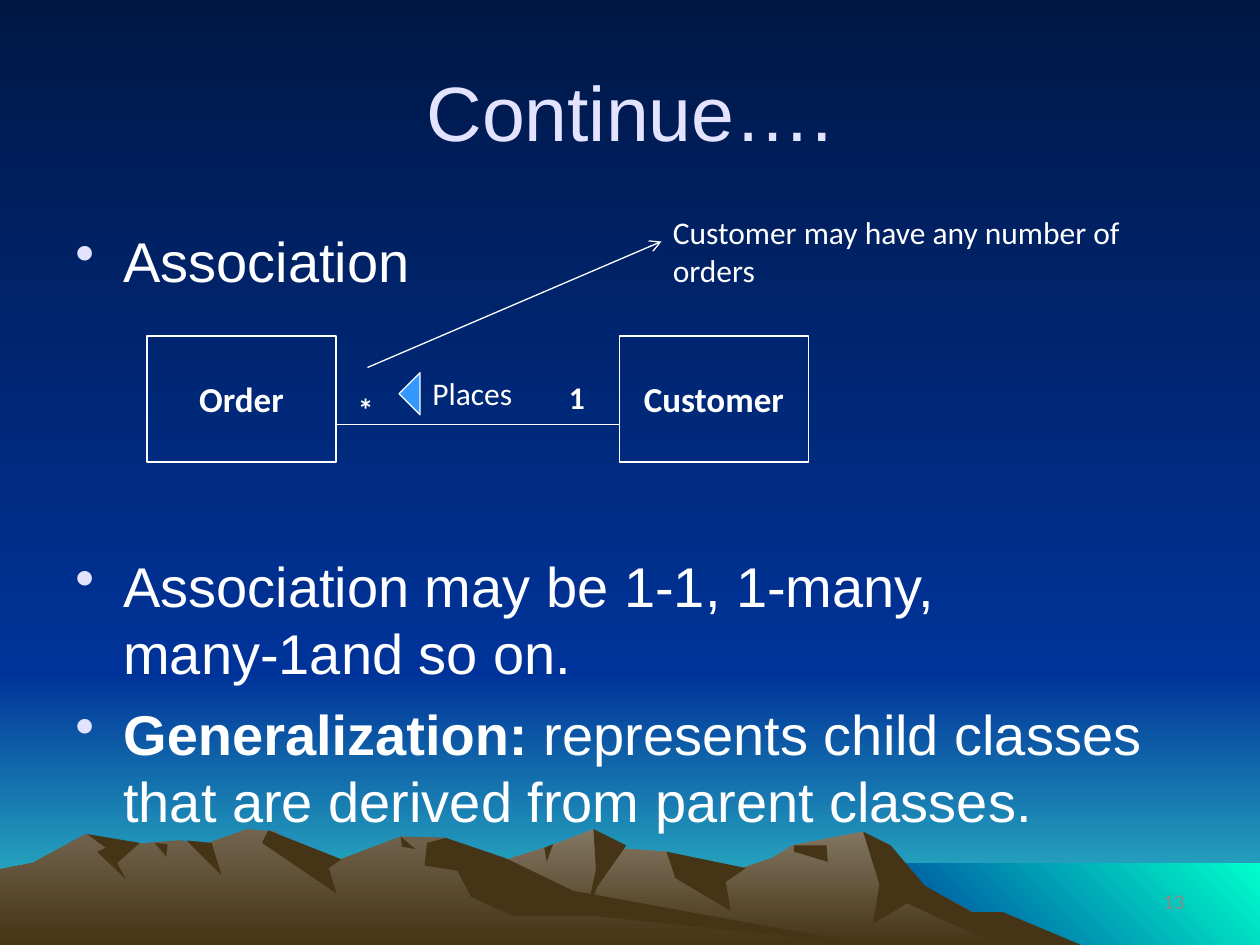
"""Build the class association slide: a mountain backdrop, bullets and a small class diagram."""
from lxml.etree import SubElement
from pptx import Presentation
from pptx.dml.color import RGBColor
from pptx.enum.shapes import MSO_CONNECTOR as Connector, MSO_SHAPE as Shape
from pptx.enum.text import MSO_ANCHOR as Anchor, PP_ALIGN as Align
from pptx.oxml.ns import qn
from pptx.util import Emu, Inches, Pt

COLUMNS = 120
SLIDE_WIDTH, SLIDE_HEIGHT = Inches(10), Inches(7.5)
CELL = SLIDE_WIDTH // COLUMNS
HUNDREDTH = Inches(0.01)

THEME = {
    "heading_font": "Arial", "label_font": "Calibri",
    "title_size": 44, "body_size": 32, "class_size": 20, "label_size": 18, "number_size": 12,
    "title": "E3E3FF", "text": "FFFFFF", "number": "898989", "marker": "3399FF",
    "sky": ("001746", "003399", 90), "haze": ("003399", "33CCCC", 90),
    "lake": ("00FFCC", "003399", 135), "far_slope": ("837763", "463416", 90),
    "near_slope": ("72644E", "463416", 90), "ridge": "463416", "line_width": 0.75,
}

BANDS = [("haze", (0, 64, 120, 26)), ("sky", (0, 0, 120, 64)), ("lake", (82, 82.2, 38, 7.8))]

MOUNTAINS = [
    ("far_slope", [
        (258, 750), (327, 709), (394, 685), (438, 671), (471, 658), (486, 673), (529, 676),
        (566, 697), (613, 681), (629, 671), (685, 660), (723, 698), (820, 750)]),
    ("ridge", [
        (685, 660), (707, 671), (734, 703), (771, 724), (796, 724), (858, 750), (792, 750),
        (720, 717), (693, 733), (698, 702)]),
    ("ridge", [(471, 658), (497, 671), (474, 704), (465, 727), (473, 690)]),
    ("ridge", [(529, 676), (592, 689), (576, 700), (580, 723), (536, 697)]),
    ("ridge", [(630, 671), (656, 671), (657, 684), (630, 676)]),
    ("ridge", [(432, 673), (439, 670), (434, 684)]),
    ("near_slope", [
        (0, 750), (0, 690), (26, 685), (68, 662), (94, 671), (143, 667), (160, 671), (196, 658),
        (219, 660), (236, 681), (271, 682), (318, 664), (354, 665), (432, 712), (690, 750)]),
    ("ridge", [(213, 659), (271, 682), (261, 689), (267, 709), (208, 669)]),
    ("ridge", [
        (339, 669), (354, 665), (401, 681), (455, 707), (690, 750), (472, 727), (407, 727),
        (374, 712), (363, 691), (337, 687)]),
    ("ridge", [(318, 664), (330, 674), (319, 672)]),
    ("ridge", [(148, 667), (168, 669), (176, 695)]),
    ("ridge", [(123, 669), (133, 670), (132, 680)]),
    ("ridge", [(69, 662), (111, 669), (93, 685), (100, 698), (77, 676), (84, 673)]),
]

BULLETS = [
    (0, [("Association", False)]),
    (147, [("Association may be 1-1, 1-many, many-1and so on.", False)]),
    (8, [("Generalization: ", True),
         ("represents child classes that are derived from parent classes.", False)]),
]

CLASSES = [("Order", (14, 32, 18, 12)), ("Customer", (59, 32, 18, 12))]
LINKS = [((35, 35), (63, 23), True), ((32, 40.4), (59, 40.4), False)]
MARKER = (37, 36.5, 4, 2)

TITLE_STYLE = ("heading_font", "title_size", "title", False, Align.CENTER, Anchor.MIDDLE)
NUMBER_STYLE = ("label_font", "number_size", "number", False, Align.RIGHT, Anchor.MIDDLE)
CLASS_STYLE = ("label_font", "class_size", "text", True, Align.CENTER, Anchor.MIDDLE)
NOTE_STYLE = ("label_font", "label_size", "text", False, Align.LEFT, Anchor.TOP)
COUNT_STYLE = ("label_font", "label_size", "text", True, Align.LEFT, Anchor.TOP)

LABELS = [
    ("Continue….", (6, 3, 108, 15), TITLE_STYLE),
    ("13", (86, 83.4, 28, 4.8), NUMBER_STYLE),
    ("Customer may have any number of\norders", (62.9, 19.7, 45.8, 8.4), NOTE_STYLE),
    ("Places", (40, 35, 13, 4.8), NOTE_STYLE),
    ("1", (53, 35.4, 4, 4.8), COUNT_STYLE),
    ("*", (32.9, 36.6, 4, 4.8), COUNT_STYLE),
]


def grid(cells):
    return [Emu(round(value * CELL)) for value in cells]


def color(name):
    return RGBColor.from_string(THEME[name])


def paint(fill, name):
    style = THEME[name]
    if isinstance(style, str):
        fill.solid()
        fill.fore_color.rgb = color(name)
        return
    *stops, angle = style
    fill.gradient()
    fill.gradient_angle = 360 - angle
    for stop, value in zip(fill.gradient_stops, stops):
        stop.color.rgb = RGBColor.from_string(value)


def style_line(line):
    line.color.rgb = color("text")
    line.width = Pt(THEME["line_width"])


def style_font(font, family, size, name, bold):
    font.name, font.size, font.bold = THEME[family], Pt(THEME[size]), bold
    font.color.rgb = color(name)


def write(shape, text, family, size, name, bold, align, anchor):
    frame = shape.text_frame
    frame.word_wrap, frame.vertical_anchor = True, anchor
    frame.text = text
    for paragraph in frame.paragraphs:
        paragraph.alignment = align
        style_font(paragraph.runs[0].font, family, size, name, bold)


def add_backdrop(slide):
    paint(slide.background.fill, "sky")
    parts = [(name, slide.shapes.add_shape(Shape.RECTANGLE, *grid(cells))) for name, cells in BANDS]
    for name, points in MOUNTAINS:
        builder = slide.shapes.build_freeform(*points[0], scale=HUNDREDTH)
        builder.add_line_segments(points[1:])
        parts.append((name, builder.convert_to_shape()))
    for name, shape in parts:
        paint(shape.fill, name)
        shape.line.fill.background()
        shape.shadow.inherit = False


def add_bullets(slide):
    frame = slide.shapes.add_textbox(*grid((6, 21, 108, 59))).text_frame
    frame.word_wrap = True
    for index, (space, runs) in enumerate(BULLETS):
        paragraph = frame.add_paragraph() if index else frame.paragraphs[0]
        paragraph.space_before = Pt(space)
        properties = paragraph._p.get_or_add_pPr()
        properties.set("marL", str(Inches(0.38)))
        properties.set("indent", str(-Inches(0.38)))
        bullet_color = SubElement(properties, qn("a:buClr"))
        SubElement(bullet_color, qn("a:srgbClr"), val=THEME["title"])
        SubElement(properties, qn("a:buChar"), char="•")
        for text, bold in runs:
            run = paragraph.add_run()
            run.text = text
            style_font(run.font, "heading_font", "body_size", "text", bold)


def add_diagram(slide):
    for text, cells in CLASSES:
        box = slide.shapes.add_shape(Shape.RECTANGLE, *grid(cells))
        box.fill.background()
        box.shadow.inherit = False
        style_line(box.line)
        write(box, text, *CLASS_STYLE)
    for start, end, arrow in LINKS:
        link = slide.shapes.add_connector(Connector.STRAIGHT, *grid(start + end))
        style_line(link.line)
        if arrow:
            SubElement(link.line._get_or_add_ln(), qn("a:tailEnd"), type="arrow")
        SubElement(link._element.spPr, qn("a:effectLst"))
    marker = slide.shapes.add_shape(Shape.ISOSCELES_TRIANGLE, *grid(MARKER))
    marker.rotation = 270
    marker.shadow.inherit = False
    paint(marker.fill, "marker")
    style_line(marker.line)


def main():
    presentation = Presentation()
    presentation.slide_width, presentation.slide_height = SLIDE_WIDTH, SLIDE_HEIGHT
    slide = presentation.slides.add_slide(presentation.slide_layouts[6])
    add_backdrop(slide)
    add_bullets(slide)
    add_diagram(slide)
    for text, cells, style in LABELS:
        write(slide.shapes.add_textbox(*grid(cells)), text, *style)
    presentation.save("out.pptx")


if __name__ == "__main__":
    main()
